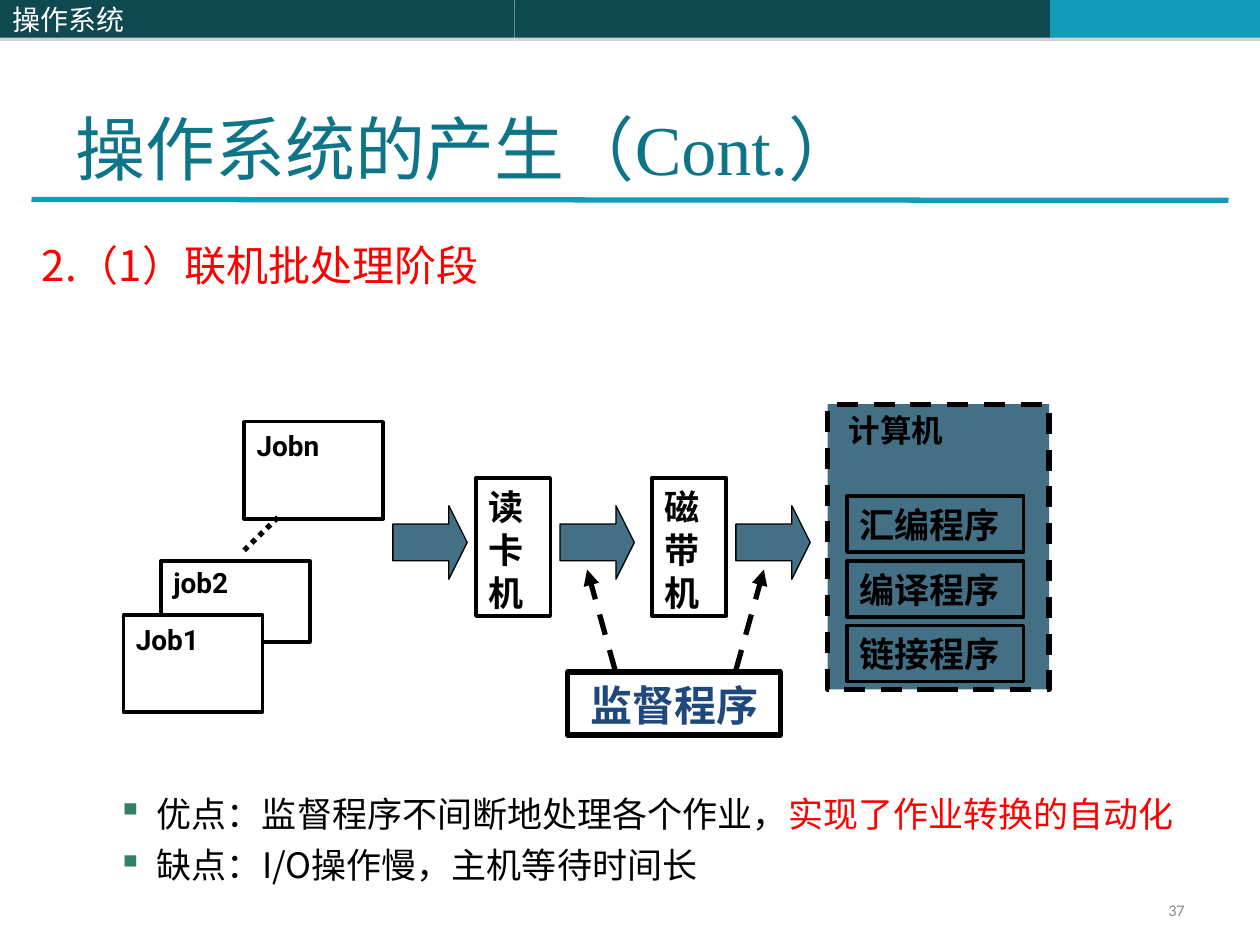
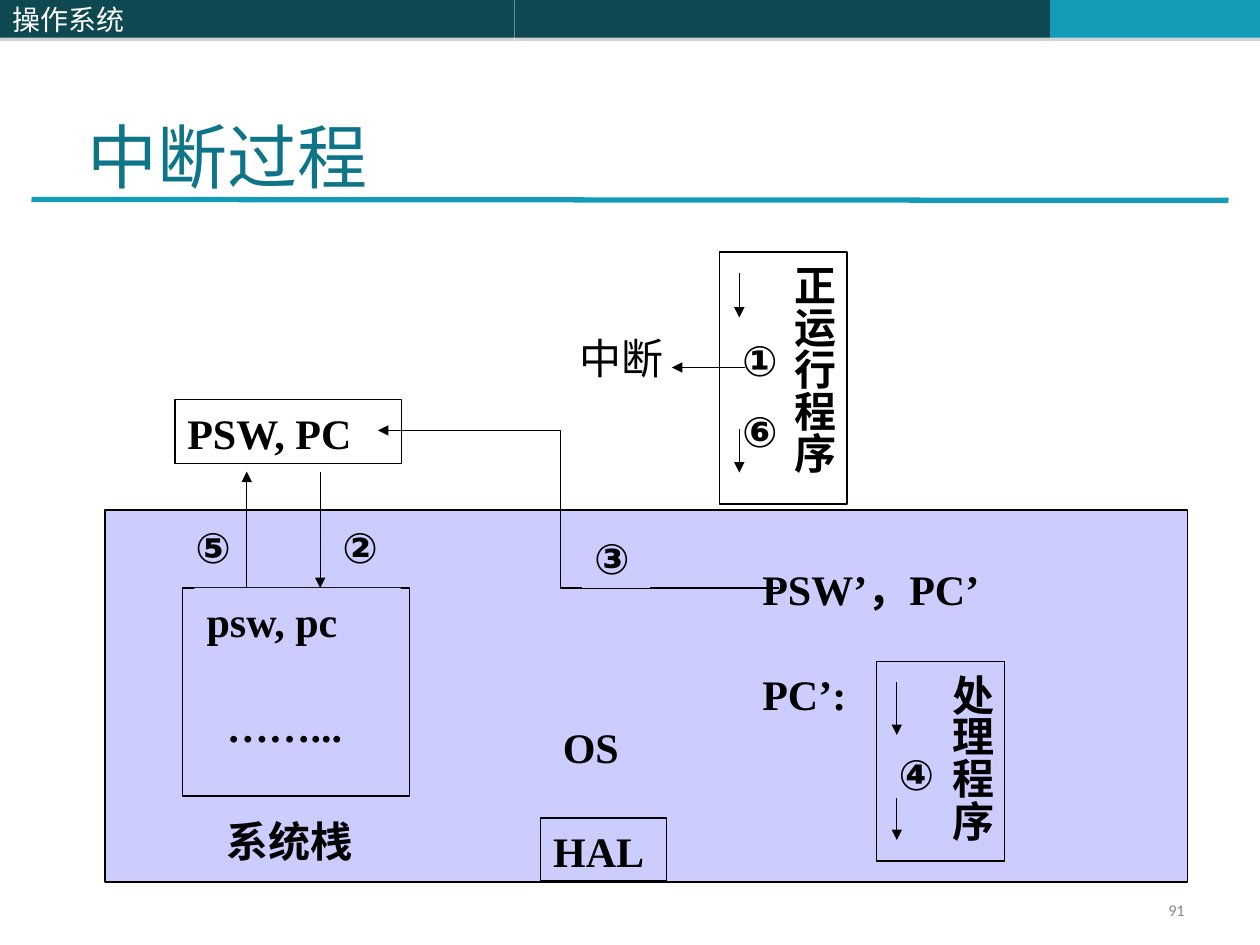
from copy import deepcopy

from lxml import etree
from pptx import Presentation
from pptx.dml.color import RGBColor
from pptx.enum.dml import MSO_LINE
from pptx.enum.shapes import MSO_CONNECTOR, MSO_SHAPE
from pptx.enum.text import MSO_ANCHOR, PP_ALIGN
from pptx.oxml import parse_xml
from pptx.oxml.ns import nsdecls, qn
from pptx.util import Pt

RECT, RIGHT_ARROW = MSO_SHAPE.RECTANGLE, MSO_SHAPE.RIGHT_ARROW
STRAIGHT = MSO_CONNECTOR.STRAIGHT
DASH, DOT = MSO_LINE.DASH, MSO_LINE.ROUND_DOT
TOP, MIDDLE, BOTTOM = MSO_ANCHOR.TOP, MSO_ANCHOR.MIDDLE, MSO_ANCHOR.BOTTOM
LEFT, CENTER, RIGHT = PP_ALIGN.LEFT, PP_ALIGN.CENTER, PP_ALIGN.RIGHT

CJK, ROBOTO, TIMES, CALIBRI = "Noto Sans CJK SC", "Roboto", "Times New Roman", "Calibri"
LINE_HEIGHT = 1.23
COLORS = {name: RGBColor.from_string(value) for name, value in {
    "band": "0E4851", "accent": "139CB7", "title": "0E7589", "number": "898989",
    "black": "000000", "white": "FFFFFF", "red": "FF0000", "navy": "1F497D",
    "steel": "437085", "lilac": "CCCCFF"}.items()}


def add_box(s, left, top, width, height, text="", size=24, font=TIMES, color="black",
            bold=False, fill=None, line=0, shape=RECT, align=LEFT, anchor=TOP, vertical=False):
    """Add a shape, or a plain text box if it has neither fill nor outline."""
    place = Pt(left), Pt(top), Pt(width), Pt(height)
    if fill or line:
        sp = s.shapes.add_shape(shape, *place)
        sp.shadow.inherit = False
        if fill:
            sp.fill.solid()
            sp.fill.fore_color.rgb = COLORS[fill]
        else:
            sp.fill.background()
        if line:
            sp.line.color.rgb = COLORS["black"]
            sp.line.width = Pt(line)
        else:
            sp.line.fill.background()
    else:
        sp = s.shapes.add_textbox(*place)
    if not text:
        return sp
    tf = sp.text_frame
    tf.word_wrap = True
    tf.vertical_anchor = anchor
    if vertical:
        tf.margin_left = tf.margin_right = Pt(3.6)
        tf.margin_top = tf.margin_bottom = Pt(7.2)
        tf._txBody.bodyPr.set("vert", "eaVert")
    tf.text = text
    for p in tf.paragraphs:
        p.alignment = align
        p.line_spacing = Pt(round(size * LINE_HEIGHT, 1))
        for r in p.runs:
            r.font.size = Pt(size)
            r.font.bold = bold
            r.font.color.rgb = COLORS[color]
            r.font.name = font
            etree.SubElement(r._r.get_or_add_rPr(), qn("a:ea"), typeface=CJK)
    return sp


def add_line(s, *points, width=0.75, color="black", dash=None, arrow=False):
    """Draw a connector through two points, or an open outline through more."""
    pts = [(Pt(x), Pt(y)) for x, y in points]
    if len(pts) == 2:
        sp = s.shapes.add_connector(STRAIGHT, *pts[0], *pts[1])
        etree.SubElement(sp._element.spPr, qn("a:effectLst"))
    else:
        builder = s.shapes.build_freeform(*pts[0])
        builder.add_line_segments(pts[1:], close=False)
        sp = builder.convert_to_shape()
        sp.fill.background()
        sp.shadow.inherit = False
    sp.line.color.rgb = COLORS[color]
    sp.line.width = Pt(width)
    if dash:
        sp.line.dash_style = dash
    if arrow:
        etree.SubElement(sp.line._get_or_add_ln(), qn("a:tailEnd"), type="triangle")


prs = Presentation()
prs.slide_width, prs.slide_height = Pt(720), Pt(540)

# Shared header, title rule and page number
slides = []
for number in ("37", "91"):
    s = prs.slides.add_slide(prs.slide_layouts[6])
    for left, width, fill, text in ((294, 306, "band", ""), (600, 120, "accent", ""),
                                    (0, 294, "band", "操作系统")):
        sp = add_box(s, left, 0, width, 21.6, text, 16, CJK, "white", fill=fill, anchor=MIDDLE)
        sp._element.spPr.find(qn("a:effectLst")).append(parse_xml(
            f'<a:outerShdw {nsdecls("a")} blurRad="0" dist="{Pt(1.8)}" dir="5400000">'
            '<a:srgbClr val="808080"><a:alpha val="35000"/></a:srgbClr></a:outerShdw>'))
    add_line(s, (18, 114), (702, 114.5), width=3, color="accent")
    add_box(s, 516, 510, 168, 19.5, number, 9.3, CALIBRI, "number", align=RIGHT, anchor=MIDDLE)
    slides.append(s)

# Slide 1: online batch processing
s = slides[0]
add_box(s, 36, 21.6, 648, 90, "操作系统的产生（Cont.）", 40, color="title", anchor=BOTTOM)
add_box(s, 16.8, 132.5, 361.5, 36, "2.（1）联机批处理阶段", font=CJK, color="red")

sp = add_box(s, 60, 448.5, 641, 70,
             "优点：监督程序不间断地处理各个作业，\n缺点：I/O操作慢，主机等待时间长", 20, CJK)
for i, p in enumerate(sp.text_frame.paragraphs):
    p.space_before = Pt(5 * i)
    pPr = p._p.get_or_add_pPr()
    pPr.set("marL", str(Pt(22.5)))
    pPr.set("indent", str(Pt(-22.5)))
    color = etree.SubElement(pPr, qn("a:buClr"))
    etree.SubElement(color, qn("a:srgbClr"), val="357E69")
    etree.SubElement(pPr, qn("a:buChar"), char="▪")
p = sp.text_frame.paragraphs[0]
p._p.append(deepcopy(p.runs[0]._r))
r = p.runs[1]
r.text = "实现了作业转换的自动化"
r.font.color.rgb = COLORS["red"]

for name, left, top in (("Job1", 70.5, 351.5), ("Jobn", 139.5, 241)):
    add_box(s, left, top, 79.5, 55.5, name, 16, ROBOTO, bold=True, line=2)
add_line(s, (92, 351.5), (92, 320.5), (177, 320.5), (177, 367), (150.5, 367), width=2)
add_box(s, 92, 319, 53, 26.5, "job2", 16, ROBOTO, bold=True)
add_line(s, (139.5, 314.5), (160.5, 294), width=3, dash=DOT)

for left in (224.5, 320, 420.5):
    sp = add_box(s, left, 289, 42.5, 42, fill="steel", line=0.75, shape=RIGHT_ARROW)
    sp.adjustments[0], sp.adjustments[1] = 0.5, 0.25
for device, left in (("读卡机", 272), ("磁带机", 372.5)):
    add_box(s, left, 273, 42.5, 79, device, 20, ROBOTO, bold=True, line=2)

computer = add_box(s, 473, 231, 126.5, 163, fill="steel", line=3)
computer.line.dash_style = DASH
add_box(s, 478, 231, 74, 29, "计算机", 18, ROBOTO, bold=True)
for i, program in enumerate(("汇编程序", "编译程序", "链接程序")):
    add_box(s, 484, 283.5 + 37 * i, 101, 32, program, 20, ROBOTO, bold=True, line=2)

add_box(s, 324.5, 384, 121.5, 36, "监督程序", 24, ROBOTO, "navy", True, line=3, align=CENTER)
for start, end in ((420.5, 436.5), (351.5, 335.5)):
    add_line(s, (start, 383), (end, 325.5), width=3, dash=DASH, arrow=True)

# Slide 2: interrupt sequence
s = slides[1]
add_box(s, 43, 60, 200, 55.5, "中断过程", 40, color="title")
add_box(s, 60, 291.5, 618.5, 212.5, fill="lilac", line=0.75)

add_box(s, 411, 144, 73, 144, "正运行程序", bold=True, fill="white", line=0.75, vertical=True)
add_box(s, 501, 378, 73, 114, "处理程序", bold=True, fill="lilac", line=0.75, vertical=True)
for x, top, bottom in ((422.5, 156, 181.5), (422.5, 245, 270),
                       (512.5, 390, 420), (512.5, 456, 480)):
    add_line(s, (x, top), (x, bottom), arrow=True)
for step, left, top in (("①", 417, 187), ("⑥", 417, 227.5), ("④", 506.5, 423.5)):
    add_box(s, left, top, 39, 36, step, font=ROBOTO, bold=True)

add_box(s, 100, 228.5, 129.5, 36.5, "PSW, PC", bold=True, fill="white", line=0.75)
add_box(s, 104.5, 336, 129.5, 119, fill="lilac", line=0.75)
for text, left, top, width in (
        ("PSW’，PC’", 428.5, 318, 165), ("PC’:", 428.5, 378, 65.5), ("系统桟", 122.5, 462, 98),
        ("psw, pc", 111, 336, 118), ("……...", 122.5, 396, 91.5), ("OS", 314.5, 408, 65.5)):
    add_box(s, left, top, width, 36, text, bold=True, fill="lilac")
add_box(s, 309, 467.5, 72, 36, "HAL", bold=True, fill="lilac", line=0.75)

add_line(s, (445, 336), (320.5, 336), (320.5, 246), (216, 246), arrow=True)
for step, left, top, width in (("②", 188.5, 294, 34.5), ("⑤", 104.5, 294, 32.5),
                               ("③", 332.5, 300, 39)):
    add_box(s, left, top, width, 36, step, font=ROBOTO, bold=True, fill="lilac")
add_line(s, (183, 269.5), (183, 336), arrow=True)
add_line(s, (141, 336), (141, 269.5), arrow=True)
add_line(s, (426, 210), (384, 210), arrow=True)
add_box(s, 324, 186, 66, 36, "中断", font=ROBOTO)

prs.save("out.pptx")
